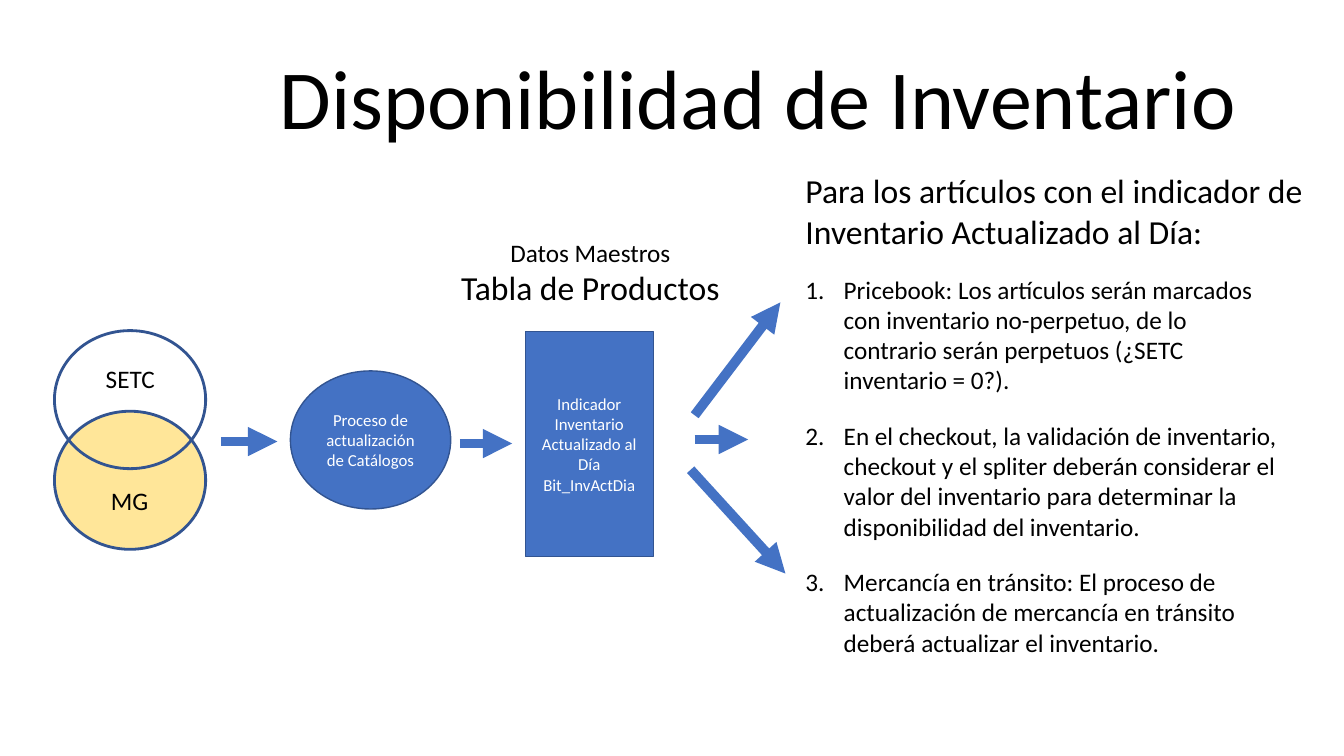
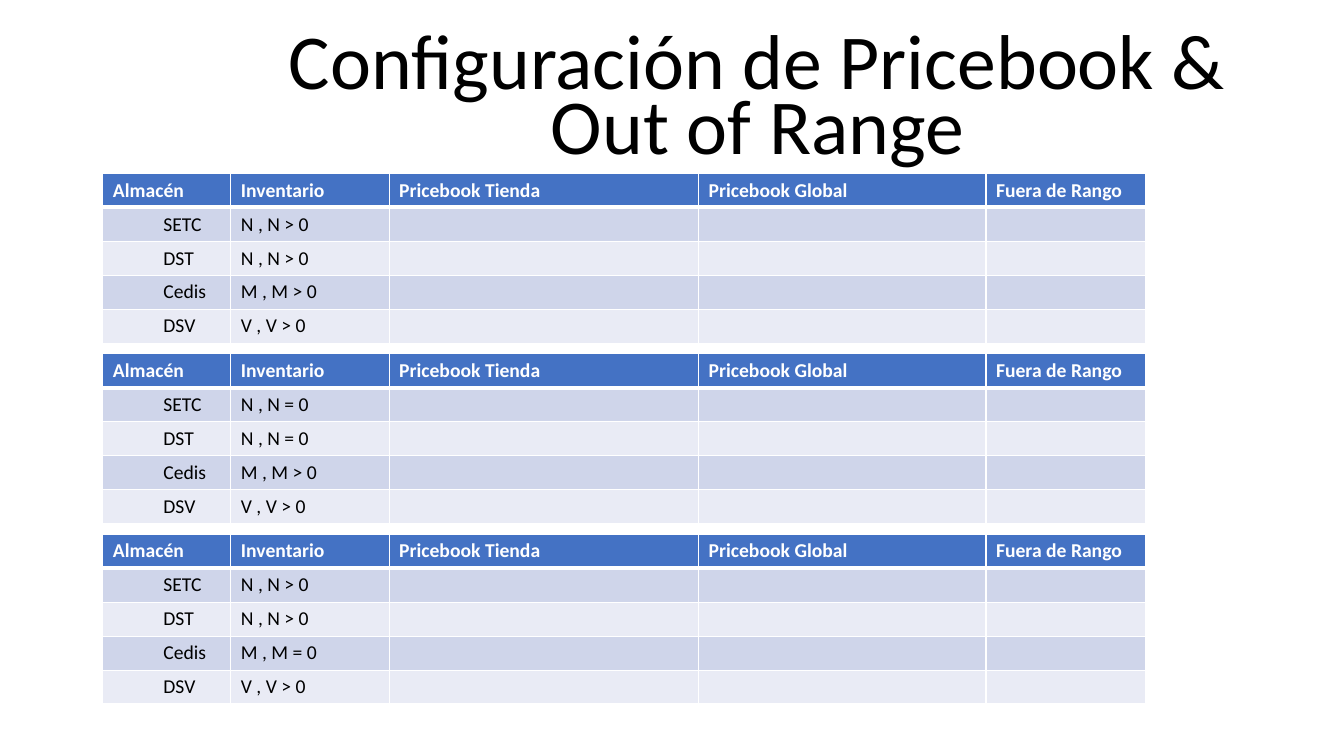
from lxml.etree import SubElement
from pptx import Presentation
from pptx.dml.color import RGBColor
from pptx.enum.shapes import MSO_CONNECTOR, MSO_SHAPE
from pptx.enum.text import MSO_ANCHOR, MSO_AUTO_SIZE, PP_ALIGN
from pptx.oxml.ns import qn
from pptx.util import Inches, Pt

FONT = "Calibri"
COLORS = {
    "black": "000000",
    "white": "FFFFFF",
    "blue": "4472C4",
    "outline": "325491",
    "yellow": "FFE699",
    "band_dark": "CFD5EA",
    "band_light": "E9EBF5",
}
TITLE_BOX = (2.62, 0.29, 9.79, 1.45)
TABLE_LEFT, TABLE_TOP, TABLE_PITCH = 1.02, 1.72, 1.79
ROW_HEIGHT = 0.33
COLUMN_WIDTHS = (1.27, 1.57, 3.07, 2.85, 1.58)
HEADERS = ("Almacén", "Inventario", "Pricebook Tienda", "Pricebook Global", "Fuera de Rango")
WAREHOUSES = ("SETC", "DST", "Cedis", "DSV")
STOCK_CASES = (
    ("N , N > 0", "N , N > 0", "M , M > 0", "V , V > 0"),
    ("N , N = 0", "N , N = 0", "M , M > 0", "V , V > 0"),
    ("N , N > 0", "N , N > 0", "M , M = 0", "V , V > 0"),
)
RULES = (
    "Pricebook: Los artículos serán marcados con inventario no-perpetuo, de lo contrario "
    "serán perpetuos (¿SETC inventario = 0?).",
    "En el checkout, la validación de inventario, checkout y el spliter deberán considerar "
    "el valor del inventario para determinar la disponibilidad del inventario.",
    "Mercancía en tránsito: El proceso de actualización de mercancía en tránsito deberá "
    "actualizar el inventario.",
)
ARROWS = (
    (2.19, 4.38, 2.75, 4.38),
    (4.56, 4.4, 5.08, 4.4),
    (6.85, 4.66, 7.79, 5.69),
    (6.89, 4.12, 7.74, 3),
    (6.89, 4.36, 7.42, 4.36),
)


def rgb(name):
    return RGBColor.from_string(COLORS[name])


def inches(values):
    return [Inches(value) for value in values]


def style_paragraph(para, size, color="black", bold=False, align=PP_ALIGN.LEFT):
    para.alignment = align
    para.font.name = FONT
    para.font.size = Pt(size)
    para.font.bold = bold
    para.font.color.rgb = rgb(color)


def fill_text(frame, lines, color="black", align=PP_ALIGN.LEFT):
    for index, (text, size) in enumerate(lines):
        para = frame.paragraphs[0] if index == 0 else frame.add_paragraph()
        para.text = text
        style_paragraph(para, size, color, align=align)


def add_titled_page(deck, text, size, spacing):
    page = deck.slides.add_slide(deck.slide_layouts[5])
    title = page.shapes.title
    title.left, title.top, title.width, title.height = inches(TITLE_BOX)
    frame = title.text_frame
    frame.auto_size = MSO_AUTO_SIZE.NONE
    frame.vertical_anchor = MSO_ANCHOR.MIDDLE
    fill_text(frame, [(text, size)], align=PP_ALIGN.CENTER)
    frame.paragraphs[0].line_spacing = spacing
    return page


def add_text(page, place, lines, align=PP_ALIGN.LEFT, wrap=True):
    frame = page.shapes.add_textbox(*inches(place)).text_frame
    frame.word_wrap = wrap
    fill_text(frame, lines, align=align)
    return frame


def add_node(page, kind, place, fill=None, line_width=1, lines=()):
    node = page.shapes.add_shape(kind, *inches(place))
    node.shadow.inherit = False
    if fill:
        node.fill.solid()
        node.fill.fore_color.rgb = rgb(fill)
    else:
        node.fill.background()
    node.line.color.rgb = rgb("outline")
    node.line.width = Pt(line_width)
    node.text_frame.vertical_anchor = MSO_ANCHOR.MIDDLE
    fill_text(node.text_frame, lines, "white", PP_ALIGN.CENTER)


def add_arrow(page, ends):
    arrow = page.shapes.add_connector(MSO_CONNECTOR.STRAIGHT, *inches(ends))
    arrow.line.color.rgb = rgb("blue")
    arrow.line.width = Pt(7)
    SubElement(arrow.line._get_or_add_ln(), qn("a:tailEnd"), type="triangle")
    SubElement(arrow._element.spPr, qn("a:effectLst"))


def add_numbered_list(page, place, items):
    frame = add_text(page, place, [(item, 18) for item in items])
    for para in frame.paragraphs:
        para.space_after = Pt(18)
        properties = para._p.get_or_add_pPr()
        properties.set("marL", str(Inches(0.38)))
        properties.set("indent", str(Inches(-0.38)))
        number = properties.makeelement(qn("a:buAutoNum"), {"type": "arabicPeriod"})
        properties.find(qn("a:defRPr")).addprevious(number)


def set_borders(cell, top, bottom):
    properties = cell._tc.get_or_add_tcPr()
    for side, width in (("L", 1), ("R", 1), ("T", top), ("B", bottom)):
        border = SubElement(properties, qn(f"a:ln{side}"), w=str(Pt(width)))
        color = SubElement(border, qn("a:solidFill"))
        SubElement(color, qn("a:srgbClr"), val=COLORS["white"])


def style_cell(cell, text, row, column):
    header = row == 0
    set_borders(cell, 3 if row == 1 else 1, 3 if header else 1)
    cell.fill.solid()
    band = "band_dark" if row % 2 else "band_light"
    cell.fill.fore_color.rgb = rgb("blue" if header else band)
    para = cell.text_frame.paragraphs[0]
    style_paragraph(para, 14, "white" if header else "black", header)
    if text:
        para.text = text
    else:
        SubElement(para._p, qn("a:endParaRPr"), sz="1400")
    if column == 0 and not header:
        para._p.get_or_add_pPr().set("marL", str(Inches(0.5)))


def add_stock_table(page, top, stocks):
    rows = [HEADERS] + [(name, stock, "", "", "") for name, stock in zip(WAREHOUSES, stocks)]
    place = (TABLE_LEFT, top, sum(COLUMN_WIDTHS), ROW_HEIGHT * len(rows))
    table = page.shapes.add_table(len(rows), len(HEADERS), *inches(place)).table
    for column, width in zip(table.columns, COLUMN_WIDTHS):
        column.width = Inches(width)
    for row, texts in enumerate(rows):
        for column, text in enumerate(texts):
            style_cell(table.cell(row, column), text, row, column)


def build_availability(deck):
    page = add_titled_page(deck, "Disponibilidad de Inventario", 60, 0.9)
    add_node(page, MSO_SHAPE.OVAL, (0.54, 4.08, 1.5, 1.37), "yellow", 2)
    add_node(page, MSO_SHAPE.OVAL, (0.54, 3.28, 1.5, 1.37), None, 2)
    add_text(page, (0.95, 3.56, 0.69, 0.4), [("SETC", 18)], wrap=False)
    add_text(page, (1, 4.77, 0.58, 0.4), [("MG", 18)], wrap=False)
    add_node(page, MSO_SHAPE.OVAL, (2.88, 3.68, 1.59, 1.37), "blue",
             lines=[("Proceso de actualización de Catálogos", 12)])
    add_text(page, (4.43, 2.3, 2.85, 0.81),
             [("Datos Maestros", 18), ("Tabla de Productos", 24)], PP_ALIGN.CENTER)
    add_node(page, MSO_SHAPE.RECTANGLE, (5.21, 3.29, 1.27, 2.23), "blue",
             lines=[("Indicador Inventario Actualizado al Día", 12), ("Bit_InvActDia", 12)])
    add_text(page, (7.89, 1.64, 5.31, 0.91),
             [("Para los artículos con el indicador de Inventario Actualizado al Día:", 24)])
    add_numbered_list(page, (7.89, 2.67, 4.87, 4.24), RULES)
    for ends in ARROWS:
        add_arrow(page, ends)


def build_configuration(deck):
    page = add_titled_page(deck, "Configuración de Pricebook & Out of Range", 55.5, 0.7)
    for index, stocks in enumerate(STOCK_CASES):
        add_stock_table(page, TABLE_TOP + index * TABLE_PITCH, stocks)


def main():
    deck = Presentation()
    deck.slide_width, deck.slide_height = inches((13.33, 7.5))
    build_availability(deck)
    build_configuration(deck)
    deck.save("out.pptx")


if __name__ == "__main__":
    main()
